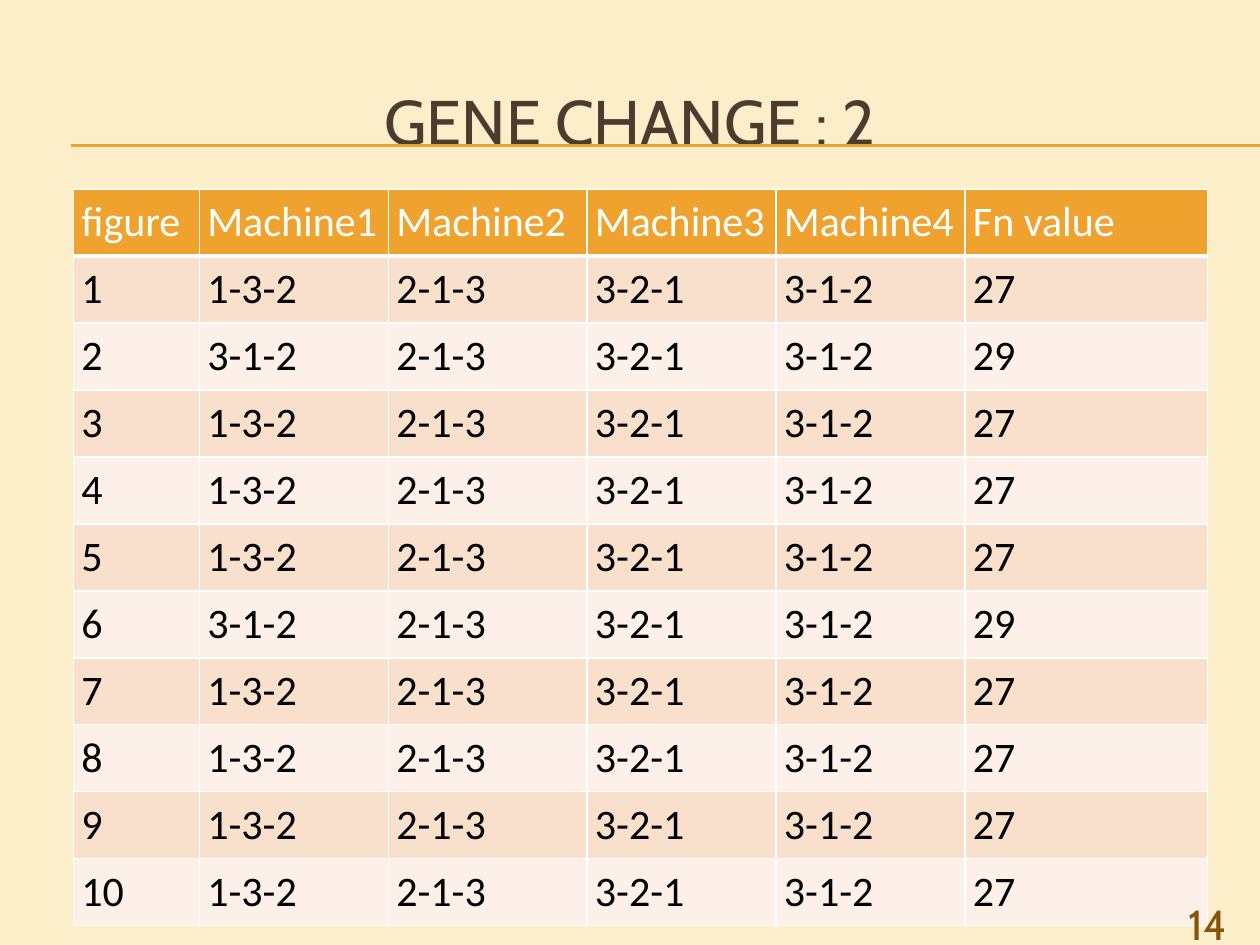
from typing import NamedTuple

from lxml import etree
from pptx import Presentation
from pptx.dml.color import RGBColor
from pptx.enum import text
from pptx.oxml import ns
from pptx.util import Pt

GOLD, WHITE, BLACK = "F0A22E", "FFFFFF", "000000"
BANDS = ("F9E0CD", "FCF0E8")
WIDTHS = (72, 108, 113.5, 108, 108, 138.5)
ROW_H = 38
HEADS = ("figure", "Machine1", "Machine2", "Machine3", "Machine4", "Fn value")


class Style(NamedTuple):
    """Font, size, colour and alignment of a paragraph."""
    face: str
    size: float
    hue: str
    align: text.PP_ALIGN = text.PP_ALIGN.LEFT


class Gene(NamedTuple):
    """Job order on the first machine and the function value."""
    order: str
    value: str


USUAL, CHANGED = Gene("1-3-2", "27"), Gene("3-1-2", "29")
GENES = [CHANGED if n in (2, 6) else USUAL for n in range(1, 11)]


def color(hue: str) -> RGBColor:
    """Turn a hex string into a colour."""
    return RGBColor.from_string(hue)


def write(frame, words: str, style: Style) -> None:
    """Put one styled paragraph into a text frame."""
    para = frame.paragraphs[0]
    para.text = words
    para.alignment = style.align
    para.font.name = style.face
    para.font.size = Pt(style.size)
    para.font.color.rgb = color(style.hue)


def rule(slide, top: float) -> None:
    """Draw a thin gold line to the right edge."""
    line = slide.shapes.add_connector(1, Pt(40.5), Pt(top), Pt(720), Pt(top))
    line.line.color.rgb = color(GOLD)
    line.line.width = Pt(0.75)
    etree.SubElement(line._element.spPr, ns.qn("a:effectLst"))


def edge(cell, side: str, width: float) -> None:
    """Add a white border to one side of a cell."""
    props = cell._tc.get_or_add_tcPr()
    line = etree.SubElement(props, ns.qn(f"a:ln{side}"), w=str(Pt(width)))
    fill = etree.SubElement(line, ns.qn("a:solidFill"))
    etree.SubElement(fill, ns.qn("a:srgbClr"), val=WHITE)


def fill_cell(cell, words: str, row: int) -> None:
    """Write, border and fill a cell according to its row."""
    write(cell.text_frame, words, Style("Calibri", 24, BLACK if row else WHITE))
    cell.margin_left = cell.margin_right = Pt(4.5)
    cell.margin_top = cell.margin_bottom = Pt(4.5)
    for side in "LRTB":
        thick = (row, side) in ((0, "B"), (1, "T"))
        edge(cell, side, 3 if thick else 1)
    cell.fill.solid()
    cell.fill.fore_color.rgb = color(BANDS[(row - 1) % 2] if row else GOLD)


def add_grid(slide) -> None:
    """Build the table of genes."""
    rows = [HEADS] + [
        (str(n), gene.order, "2-1-3", "3-2-1", "3-1-2", gene.value)
        for n, gene in enumerate(GENES, 1)
    ]
    grid = slide.shapes.add_table(
        len(rows), len(HEADS), Pt(42), Pt(108), Pt(sum(WIDTHS)), Pt(ROW_H * len(rows))
    ).table
    for col, width in zip(grid.columns, WIDTHS):
        col.width = Pt(width)
    for r, row in enumerate(rows):
        grid.rows[r].height = Pt(ROW_H)
        for c, words in enumerate(row):
            fill_cell(grid.cell(r, c), words, r)


def add_title(slide) -> None:
    """Place and format the title."""
    title = slide.shapes.title
    title.left, title.top, title.width, title.height = Pt(18), Pt(36), Pt(684), Pt(66)
    title.text_frame.vertical_anchor = text.MSO_ANCHOR.MIDDLE
    write(title.text_frame, "GENE CHANGE : 2",
          Style("Cabin", 36, "4E3B30", text.PP_ALIGN.CENTER))


def add_page(slide) -> None:
    """Add the page number."""
    box = slide.shapes.add_textbox(Pt(648), Pt(510), Pt(60), Pt(19.5))
    box.text_frame.word_wrap = True
    write(box.text_frame, "14", Style("Cabin", 24, "85540A", text.PP_ALIGN.RIGHT))


def main() -> None:
    """Build and save the slide."""
    deck = Presentation()
    deck.slide_width, deck.slide_height = Pt(720), Pt(540)
    slide = deck.slides.add_slide(deck.slide_layouts.get_by_name("Title Only"))
    slide.background.fill.solid()
    slide.background.fill.fore_color.rgb = color("FBEEC9")
    for top in (82.8, 83.5):
        rule(slide, top)
    add_title(slide)
    add_grid(slide)
    add_page(slide)
    deck.save("out.pptx")


main()
